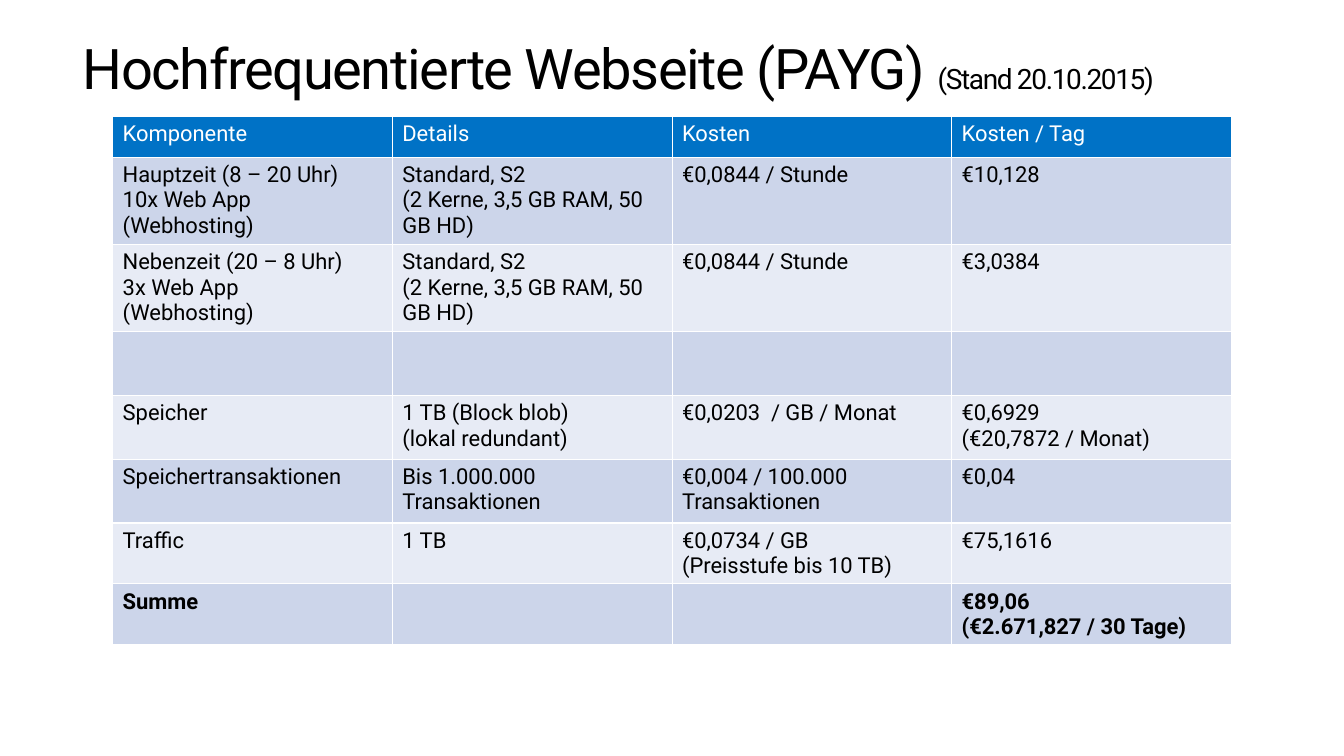
from pptx import Presentation
from pptx.dml.color import RGBColor
from pptx.enum.text import MSO_ANCHOR, MSO_AUTO_SIZE, PP_ALIGN
from pptx.util import Cm, Pt

TOP, LEFT, NO_FIT = MSO_ANCHOR.TOP, PP_ALIGN.LEFT, MSO_AUTO_SIZE.NONE

BLACK = RGBColor(0x00, 0x00, 0x00)
WHITE = RGBColor(0xFF, 0xFF, 0xFF)
HEADER_BLUE = RGBColor(0x00, 0x72, 0xC6)
BAND_DARK = RGBColor(0xCC, 0xD5, 0xEA)
BAND_LIGHT = RGBColor(0xE7, 0xEB, 0xF5)
FONT = "Roboto"

TITLE_RUNS = [("Hochfrequentierte Webseite (PAYG) ", 40.8),
              ("(Stand 20.10.2015)", 20.4)]
SERVER = "Standard, S2\n(2 Kerne, 3,5 GB RAM, 50 GB HD)"
# Row height in cm, then the cell texts
COST_ROWS = [
    (1.04, ["Komponente", "Details", "Kosten", "Kosten / Tag"]),
    (2.24, ["Hauptzeit (8 – 20 Uhr)\n10x Web App\n(Webhosting)", SERVER,
            "€0,0844 / Stunde", "€10,128"]),
    (2.24, ["Nebenzeit (20 – 8 Uhr)\n3x Web App\n(Webhosting)", SERVER,
            "€0,0844 / Stunde", "€3,0384"]),
    (1.64, ["", "", "", ""]),
    (1.64, ["Speicher", "1 TB (Block blob)\n(lokal redundant)",
            "€0,0203  / GB / Monat", "€0,6929\n(€20,7872 / Monat)"]),
    (1.64, ["Speichertransaktionen", "Bis 1.000.000 Transaktionen",
            "€0,004 / 100.000 Transaktionen", "€0,04"]),
    (1.56, ["Traffic", "1 TB", "€0,0734 / GB\n(Preisstufe bis 10 TB)",
            "€75,1616"]),
    (1.56, ["Summe", "", "", "€89,06\n(€2.671,827 / 30 Tage)"]),
]


def set_attrs(obj, values):
    for name, value in values.items():
        setattr(obj, name, value)


def format_font(font, size, color, bold=False):
    set_attrs(font, {"name": FONT, "size": Pt(size), "bold": bold})
    font.color.rgb = color


def fill_title(s, left, top, width, height):
    sp = s.shapes.title
    set_attrs(sp, {"left": left, "top": top, "width": width, "height": height})
    tf = sp.text_frame
    set_attrs(tf, {"vertical_anchor": TOP, "auto_size": NO_FIT, "word_wrap": True,
                   "margin_left": Cm(0.32), "margin_right": Cm(0.32),
                   "margin_top": Cm(0.26), "margin_bottom": Cm(0.26)})
    p = tf.paragraphs[0]
    set_attrs(p, {"alignment": LEFT, "line_spacing": 0.9, "space_before": Pt(10.2)})
    for text, size in TITLE_RUNS:
        r = p.add_run()
        r.text = text
        format_font(r.font, size, BLACK)
        # Tighter letter spacing, in hundredths of a point
        r._r.get_or_add_rPr().set("spc", "-100")


def format_cell(cell, text, fill, color, bold):
    cell.fill.solid()
    cell.fill.fore_color.rgb = fill
    cell.text = text
    for p in cell.text_frame.paragraphs:
        format_font(p.font, 16, color, bold)
        for r in p.runs:
            format_font(r.font, 16, color, bold)


def add_cost_table(s, left, top, width):
    height = Cm(sum(h for h, _ in COST_ROWS))
    n_cols = len(COST_ROWS[0][1])
    table = s.shapes.add_table(len(COST_ROWS), n_cols, left, top, width, height).table
    last = len(COST_ROWS) - 1
    for i, (row_height, texts) in enumerate(COST_ROWS):
        table.rows[i].height = Cm(row_height)
        band = BAND_DARK if i % 2 else BAND_LIGHT
        fill, color = (band, BLACK) if i else (HEADER_BLUE, WHITE)
        for j, text in enumerate(texts):
            format_cell(table.cell(i, j), text, fill, color, bold=i == last)


def main():
    prs = Presentation()
    prs.slide_width, prs.slide_height = Cm(34.54), Cm(19.43)
    s = prs.slides.add_slide(prs.slide_layouts[5])
    # Title line
    fill_title(s, Cm(1.8), Cm(0.81), Cm(31.04), Cm(2.54))
    # Cost table
    add_cost_table(s, Cm(2.9), Cm(3), Cm(28.75))
    prs.save("out.pptx")


if __name__ == "__main__":
    main()
